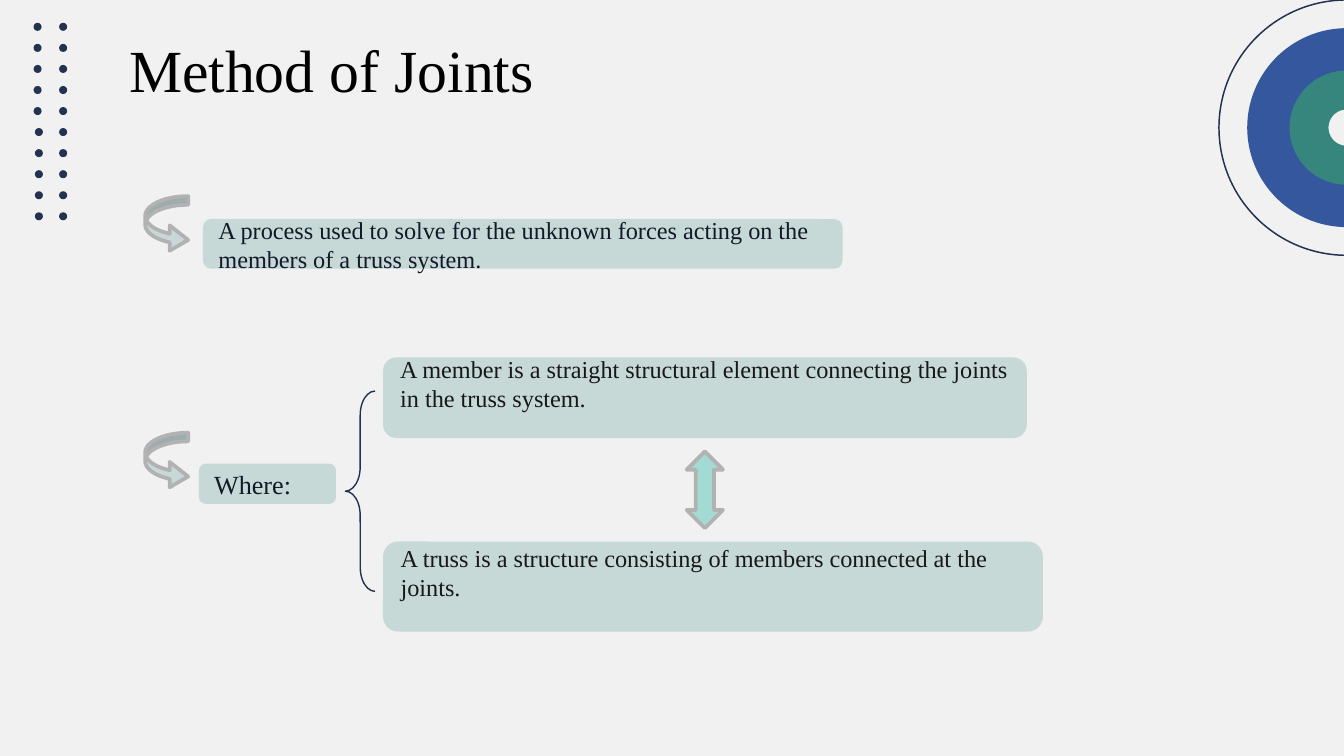
import pptx
import pptx.util
import pptx.dml.color
import pptx.enum.shapes
import pptx.enum.text

Inches = pptx.util.Inches
Pt = pptx.util.Pt
Kind = pptx.enum.shapes.MSO_SHAPE
FONT = "Times New Roman"
NAVY = "233251"
PALE = "C6D9D7"
GREY = "B2B2B2"


def colour(value):
    """Turn a hex string into a colour."""
    return pptx.dml.color.RGBColor.from_string(value)


def add_figure(page, kind, place, fill=None, line=None, width=1, adjust=()):
    """Add a preset shape with its fill, outline and adjustments."""
    figure = page.shapes.add_shape(kind, *map(Inches, place))
    figure.shadow.inherit = False
    for index, value in enumerate(adjust):
        figure.adjustments[index] = value
    if fill:
        figure.fill.solid()
        figure.fill.fore_color.rgb = colour(fill)
    else:
        figure.fill.background()
    if line:
        figure.line.color.rgb = colour(line)
        figure.line.width = Pt(width)
    else:
        figure.line.fill.background()
    return figure


def write(shape, text, size, ink):
    """Put left-aligned, vertically centred text into a shape."""
    frame = shape.text_frame
    frame.text = text
    frame.vertical_anchor = pptx.enum.text.MSO_ANCHOR.MIDDLE
    para = frame.paragraphs[0]
    para.alignment = pptx.enum.text.PP_ALIGN.LEFT
    font = para.runs[0].font
    font.name = FONT
    font.size = Pt(size)
    font.color.rgb = colour(ink)


def add_title(page, text):
    """Place and fill the slide title."""
    title = page.shapes.title
    title.left, title.top, title.width, title.height = map(Inches, (0.86, 0.19, 3.25, 0.64))
    write(title, text, 32, "000000")
    title.text_frame.word_wrap = False


def add_box(page, place, text, size, ink, bottom=0.05):
    """Add a rounded text box with a chosen bottom inset."""
    box = add_figure(page, Kind.ROUNDED_RECTANGLE, place, PALE)
    write(box, text, size, ink)
    box.text_frame.word_wrap = True
    box.text_frame.margin_bottom = Inches(bottom)


def add_target(page):
    """Draw the concentric rings at the right edge."""
    centre_x, centre_y = 10.02, 0.95
    rings = (
        (Kind.DONUT, 1.48, "34579E", None, (0.34,)),
        (Kind.OVAL, 1.9, None, NAVY, ()),
        (Kind.DONUT, 0.85, "36867D", None, (0.34,)),
    )
    for kind, size, fill, line, adjust in rings:
        place = (centre_x - size / 2, centre_y - size / 2, size, size)
        add_figure(page, kind, place, fill, line, 0.78, adjust)


def add_dots(page):
    """Draw the two columns of ten dots."""
    rows, first, last, size = 10, 0.17, 1.58, 0.06
    step = (last - first) / (rows - 1)
    for row in range(rows):
        left = 0.25 if row < rows / 2 else 0.26
        for column in (left, 0.44):
            add_figure(page, Kind.OVAL, (column, first + row * step, size, size), NAVY)


def main():
    """Build and save the slide."""
    deck = pptx.Presentation()
    deck.slide_width, deck.slide_height = Inches(10), Inches(10 * 9 / 16)
    page = deck.slides.add_slide(deck.slide_layouts[5])
    page.background.fill.solid()
    page.background.fill.fore_color.rgb = colour("F1F1F1")
    add_target(page)
    add_dots(page)
    add_title(page, "Method of Joints")
    for top in (1.46, 3.22):
        add_figure(page, Kind.CURVED_RIGHT_ARROW, (1.08, top, 0.32, 0.42), PALE, GREY, 2,
                   (0.2, 0.59, 0.43))
    add_box(page, (1.51, 1.63, 4.76, 0.37),
            "A process used to solve for the unknown forces acting on the members of a truss system.",
            13, "121928")
    add_box(page, (2.85, 2.66, 4.79, 0.6),
            "A member is a straight structural element connecting the joints in the truss system.",
            13, "181818", 0.26)
    add_box(page, (1.48, 3.45, 1.02, 0.3), "Where:", 14, "121928")
    add_figure(page, Kind.LEFT_BRACE, (2.57, 2.91, 0.22, 1.49), None, "213150", 0.75, (0.82, 0.5))
    add_box(page, (2.85, 4.03, 4.91, 0.67),
            "A truss is a structure consisting of members connected at the joints.",
            13, "181818", 0.26)
    add_figure(page, Kind.UP_DOWN_ARROW, (5.11, 3.36, 0.27, 0.57), "A3DAD4", GREY, 2)
    deck.save("out.pptx")


if __name__ == "__main__":
    main()
